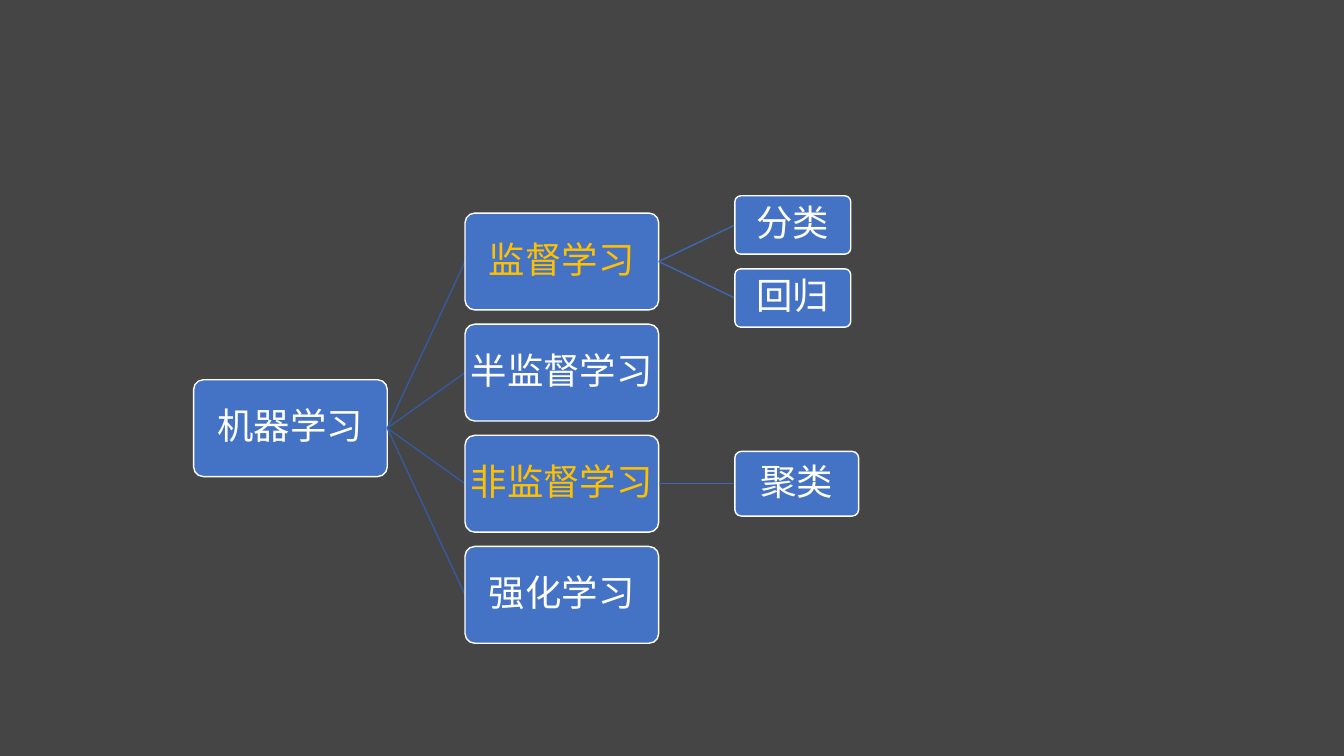
from pptx import Presentation
from pptx.dml.color import RGBColor
from pptx.enum.shapes import MSO_CONNECTOR as Connector, MSO_SHAPE as Shape
from pptx.enum.text import MSO_ANCHOR as Anchor, PP_ALIGN as Align
from pptx.oxml.ns import qn
from pptx.util import Cm, Pt
from lxml.etree import SubElement

BACKGROUND = RGBColor(0x45, 0x45, 0x45)
BLUE = RGBColor(0x44, 0x72, 0xC4)
BRANCH_LINE = RGBColor(0x36, 0x5B, 0x9D)
LEAF_LINE = RGBColor(0x3E, 0x67, 0xB2)
WHITE = RGBColor(0xFF, 0xFF, 0xFF)
GOLD = RGBColor(0xFF, 0xC0, 0x00)

# All lengths are in centimetres.
ROOT_LEFT, BRANCH_LEFT, LEAF_LEFT = 4.88, 11.72, 18.52
NODE_SIZE = (4.88, 2.44)
MIDDLE = 10.79
BRANCH_PITCH = 2.8
LEAF_PITCH = 1.84

PAIR_LEAF = (2.92, 1.47)
SINGLE_LEAF = (3.12, 1.63)
BRANCHES = [
    ("监督学习", GOLD, ["分类", "回归"], PAIR_LEAF),
    ("半监督学习", WHITE, [], None),
    ("非监督学习", GOLD, ["聚类"], SINGLE_LEAF),
    ("强化学习", WHITE, [], None),
]


def add_node(slide, text, left, center, size, color=WHITE):
    """Add a rounded box whose vertical centre is at center."""
    width, height = size
    box = slide.shapes.add_shape(Shape.ROUNDED_RECTANGLE, Cm(left),
                                 Cm(center - height / 2), Cm(width), Cm(height))
    box.adjustments[0] = 0.1
    box.shadow.inherit = False
    box.fill.solid()
    box.fill.fore_color.rgb = BLUE
    box.line.color.rgb = WHITE
    box.line.width = Pt(1)
    frame = box.text_frame
    frame.word_wrap = True
    frame.vertical_anchor = Anchor.MIDDLE
    frame.margin_left = frame.margin_right = Cm(0.06)
    frame.margin_top = frame.margin_bottom = Cm(0.06)
    para = frame.paragraphs[0]
    para.text = text
    para.alignment = Align.CENTER
    para.line_spacing = 0.9
    para.font.name = "Calibri"
    para.font.size = Pt(26)
    para.font.color.rgb = color


def add_link(slide, start, end, color):
    link = slide.shapes.add_connector(Connector.STRAIGHT, *map(Cm, start + end))
    link.line.color.rgb = color
    link.line.width = Pt(1)
    SubElement(link._element.spPr, qn("a:effectLst"))


deck = Presentation()
deck.slide_width, deck.slide_height = Cm(33.87), Cm(19.05)
page = deck.slides.add_slide(deck.slide_layouts[6])
page.background.fill.solid()
page.background.fill.fore_color.rgb = BACKGROUND

add_node(page, "机器学习", ROOT_LEFT, MIDDLE, NODE_SIZE)
root_right = ROOT_LEFT + NODE_SIZE[0]
branch_right = BRANCH_LEFT + NODE_SIZE[0]

for row, (name, color, leaves, leaf_size) in enumerate(BRANCHES):
    branch_y = MIDDLE + (row - (len(BRANCHES) - 1) / 2) * BRANCH_PITCH
    add_link(page, (root_right, MIDDLE), (BRANCH_LEFT, branch_y), BRANCH_LINE)
    add_node(page, name, BRANCH_LEFT, branch_y, NODE_SIZE, color)
    for index, leaf in enumerate(leaves):
        leaf_y = branch_y + (index - (len(leaves) - 1) / 2) * LEAF_PITCH
        add_link(page, (branch_right, branch_y), (LEAF_LEFT, leaf_y), LEAF_LINE)
        add_node(page, leaf, LEAF_LEFT, leaf_y, leaf_size)

deck.save("out.pptx")
